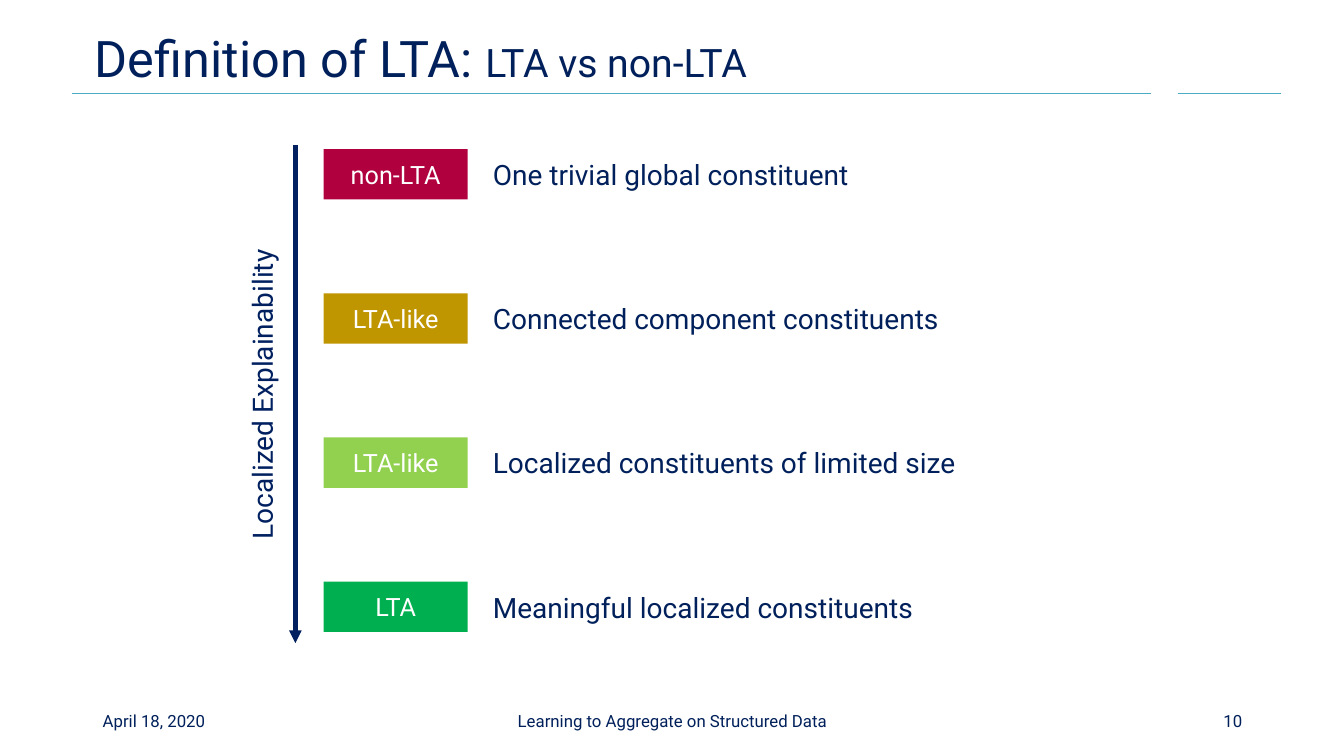
from lxml.etree import SubElement
from pptx import Presentation
from pptx.dml.color import RGBColor
from pptx.enum.shapes import MSO_CONNECTOR, MSO_SHAPE
from pptx.enum.text import MSO_ANCHOR, PP_ALIGN
from pptx.oxml.ns import qn
from pptx.util import Inches, Pt

NAVY, INK, TEAL, WHITE = "00205B", "002060", "4BACC6", "FFFFFF"
LEFT, MID, RIGHT = PP_ALIGN.LEFT, PP_ALIGN.CENTER, PP_ALIGN.RIGHT

TITLE = [("Definition of LTA: ", 36), ("LTA vs non-LTA", 28)]
AXIS = "Localized Explainability"
LEVELS = [
    ("non-LTA", "B0003E", "One trivial global constituent"),
    ("LTA-like", "BF9500", "Connected component constituents"),
    ("LTA-like", "92D050", "Localized constituents of limited size"),
    ("LTA", "00B050", "Meaningful localized constituents"),
]
FOOTER = [
    ("April 18, 2020", 0.92, 3, LEFT),
    ("Learning to Aggregate on Structured Data", 4.42, 4.5, MID),
    ("10", 9.42, 3, RIGHT),
]
RULES = [(0.71, 11.42), (11.68, 12.71)]
RULE_Y = 0.93
FIRST, STEP = 1.73, 1.43  # centre of the first level, distance to the next
TAG_H, NOTE_H = 0.5, 0.72


def rgb(code):
    return RGBColor.from_string(code)


def style(font, size, color):
    font.name, font.size, font.color.rgb = "Roboto", Pt(size), rgb(color)


def write(shape, text, size, color, align):
    frame = shape.text_frame
    frame.word_wrap = True
    frame.vertical_anchor = MSO_ANCHOR.MIDDLE
    para = frame.paragraphs[0]
    para.text, para.alignment = text, align
    style(para.font, size, color)


def label(text, x, y, w, h, size, color=NAVY, align=LEFT):
    box = slide.shapes.add_textbox(Inches(x), Inches(y), Inches(w), Inches(h))
    write(box, text, size, color, align)
    return box


def line(x1, y1, x2, y2, color, width):
    link = slide.shapes.add_connector(
        MSO_CONNECTOR.STRAIGHT, Inches(x1), Inches(y1), Inches(x2), Inches(y2))
    link.line.color.rgb, link.line.width = rgb(color), Pt(width)
    SubElement(link._element.spPr, qn("a:effectLst"))
    return link


deck = Presentation()
deck.slide_width, deck.slide_height = Inches(13.33), Inches(7.5)
slide = deck.slides.add_slide(deck.slide_layouts[5])

for start, end in RULES:
    line(start, RULE_Y, end, RULE_Y, TEAL, 1)

title = slide.shapes.title
title.left, title.top = Inches(0.84), Inches(0.21)
title.width, title.height = Inches(11.58), Inches(0.72)
title.text_frame.vertical_anchor = MSO_ANCHOR.BOTTOM
head = title.text_frame.paragraphs[0]
head.alignment, head.line_spacing = LEFT, 0.9
for text, size in TITLE:
    run = head.add_run()
    run.text = text
    style(run.font, size, NAVY)

for text, x, w, align in FOOTER:
    label(text, x, 6.95, w, 0.4, 12, align=align)

arrow = line(2.93, 1.44, 2.93, 6.38, INK, 3)
SubElement(arrow.line._get_or_add_ln(), qn("a:tailEnd"), type="triangle")
label(AXIS, 0.96, 3.62, 3.27, 0.59, 20, INK, MID).rotation = 270

for i, (name, color, note) in enumerate(LEVELS):
    y = FIRST + i * STEP
    label(note, 4.79, y - NOTE_H / 2, 4.82, NOTE_H, 20)
    tag = slide.shapes.add_shape(
        MSO_SHAPE.RECTANGLE, Inches(3.21), Inches(y - TAG_H / 2),
        Inches(1.43), Inches(TAG_H))
    tag.shadow.inherit = False
    tag.fill.solid()
    tag.fill.fore_color.rgb = rgb(color)
    tag.line.fill.background()
    write(tag, name, 18, WHITE, MID)

deck.save("out.pptx")
